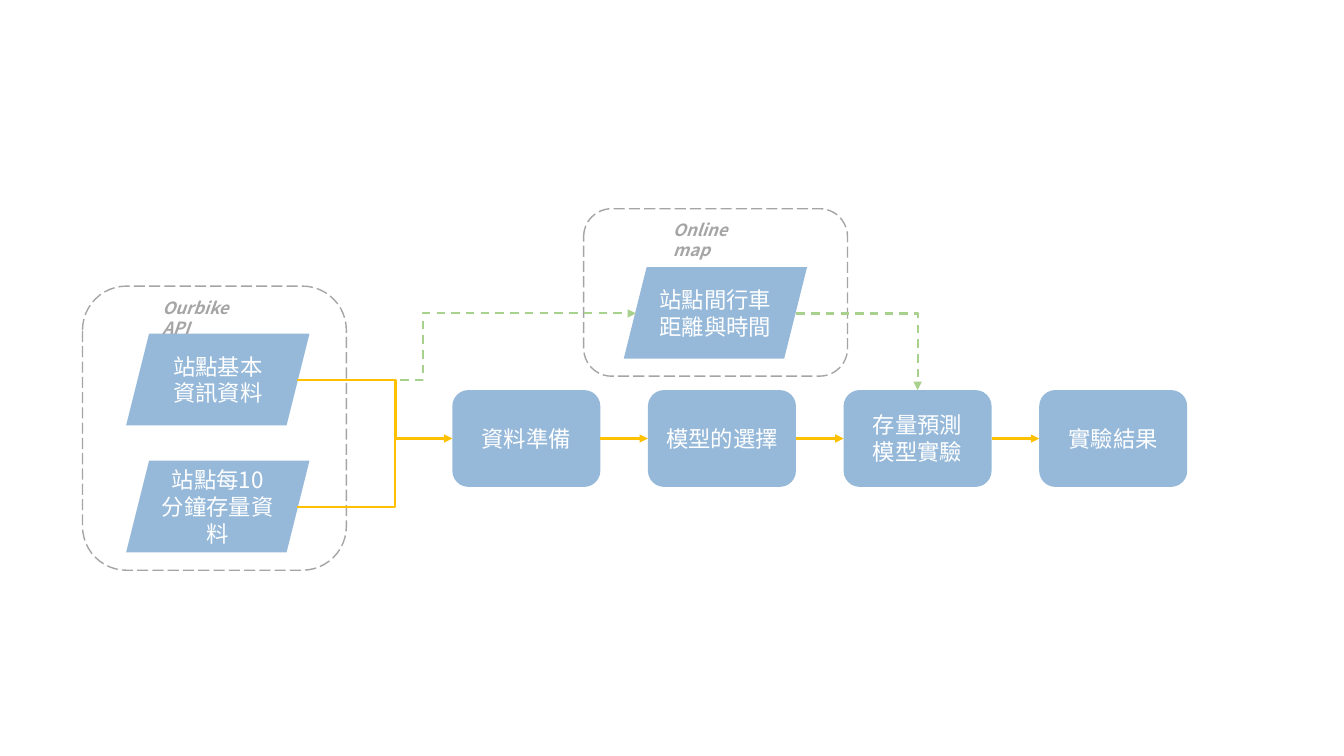
"""Build a flow chart from bike station data to the experiment results."""
from lxml.etree import SubElement
from pptx import Presentation
from pptx.dml.color import RGBColor
from pptx.enum.dml import MSO_LINE
from pptx.enum.shapes import MSO_CONNECTOR as CONN, MSO_SHAPE as SHAPE
from pptx.enum.text import MSO_ANCHOR, MSO_AUTO_SIZE, PP_ALIGN
from pptx.oxml.ns import qn
from pptx.util import Cm, Pt

BLUE = RGBColor(0x2E, 0x75, 0xB6)
GRAY = RGBColor(0xA5, 0xA5, 0xA5)
GREEN = RGBColor(0xA9, 0xD1, 0x8E)
AMBER = RGBColor(0xFF, 0xC0, 0x00)
WHITE = RGBColor(0xFF, 0xFF, 0xFF)
FONT = "Noto Sans CJK SC"

STEP_X, STEP_Y, STEP_W, STEP_H, PITCH = 11.4, 9.83, 3.73, 2.44, 4.93
DATA_W, DATA_H = 4.62, 2.31
MID_Y = STEP_Y + STEP_H / 2


def write(sp, text, size, color):
    tf = sp.text_frame
    tf.word_wrap = True
    tf.text = text
    for r in tf.paragraphs[0].runs:
        r.font.size = Pt(size)
        r.font.name = FONT
        r.font.color.rgb = color
        SubElement(r.font._element, qn("a:ea"), typeface=FONT)
    return tf


def connect(kind, x1, y1, x2, y2, color, arrow=True):
    sp = s.shapes.add_connector(kind, Cm(x1), Cm(y1), Cm(x2), Cm(y2))
    sp.line.color.rgb = color
    sp.line.width = Pt(1.5)
    if color == GREEN:
        sp.line.dash_style = MSO_LINE.DASH
    if arrow:
        SubElement(sp.line._get_or_add_ln(), qn("a:tailEnd"), type="triangle")
    SubElement(sp._element.spPr, qn("a:effectLst"))
    return sp._element.spPr.find(qn("a:prstGeom"))


prs = Presentation()
prs.slide_width, prs.slide_height = Cm(33.87), Cm(19.05)
s = prs.slides.add_slide(prs.slide_layouts[6])

boxes = [
    (SHAPE.PARALLELOGRAM, 3.18, 8.41, DATA_W, DATA_H, "站點基本\v資訊資料"),
    (SHAPE.PARALLELOGRAM, 3.18, 11.61, DATA_W, DATA_H, "站點每10分鐘存量資料"),
    (SHAPE.PARALLELOGRAM, 15.72, 6.73, DATA_W, DATA_H, "站點間行車距離與時間"),
]
steps = ["資料準備", "模型的選擇", "存量預測\v模型實驗", "實驗結果"]
for i, step in enumerate(steps):
    boxes.append((SHAPE.ROUNDED_RECTANGLE, STEP_X + i * PITCH, STEP_Y, STEP_W, STEP_H, step))

for shape, x, y, w, h, text in boxes:
    sp = s.shapes.add_shape(shape, Cm(x), Cm(y), Cm(w), Cm(h))
    sp.shadow.inherit = False
    sp.fill.solid()
    sp.fill.fore_color.rgb = BLUE
    SubElement(sp._element.spPr.find(".//" + qn("a:srgbClr")), qn("a:alpha"), val="50000")
    sp.line.fill.background()
    tf = write(sp, text, 16, WHITE)
    tf.vertical_anchor = MSO_ANCHOR.MIDDLE
    tf.paragraphs[0].alignment = PP_ALIGN.CENTER

frames = [
    (2.08, 7.21, 7.16, "Ourbike API", 3.84, 7.37, 2.9),
    (14.71, 5.26, 4.22, "Online map", 16.71, 5.41, 2.69),
]
for x, y, h, label, label_x, label_y, label_w in frames:
    sp = s.shapes.add_shape(SHAPE.ROUNDED_RECTANGLE, Cm(x), Cm(y), Cm(6.65), Cm(h))
    sp.shadow.inherit = False
    sp.fill.background()
    sp.line.color.rgb = GRAY
    sp.line.width = Pt(1)
    sp.line.dash_style = MSO_LINE.LONG_DASH
    sp = s.shapes.add_textbox(Cm(label_x), Cm(label_y), Cm(label_w), Cm(0.76))
    tf = write(sp, label, 12, GRAY)
    tf.auto_size = MSO_AUTO_SIZE.SHAPE_TO_FIT_TEXT
    r = tf.paragraphs[0].runs[0]
    r.font.bold = r.font.italic = True

elbows = [
    (7.49, 9.58, 16.03, 7.9, GREEN, True, 37100),
    (7.49, 9.58, STEP_X, MID_Y, AMBER, True, 63400),
    (7.49, 12.78, 10.69, MID_Y, AMBER, False, 77400),
]
for *route, bend in elbows:
    geom = connect(CONN.ELBOW, *route)
    SubElement(geom.find(qn("a:avLst")), qn("a:gd"), name="adj1", fmla=f"val {bend}")

corner = connect(CONN.ELBOW, 20.07, 7.9, STEP_X + 2 * PITCH + STEP_W / 2, STEP_Y, GREEN)
corner.set("prst", "bentConnector2")

for i in range(len(steps) - 1):
    x = STEP_X + i * PITCH
    connect(CONN.STRAIGHT, x + STEP_W, MID_Y, x + PITCH, MID_Y, AMBER)

prs.save("out.pptx")
